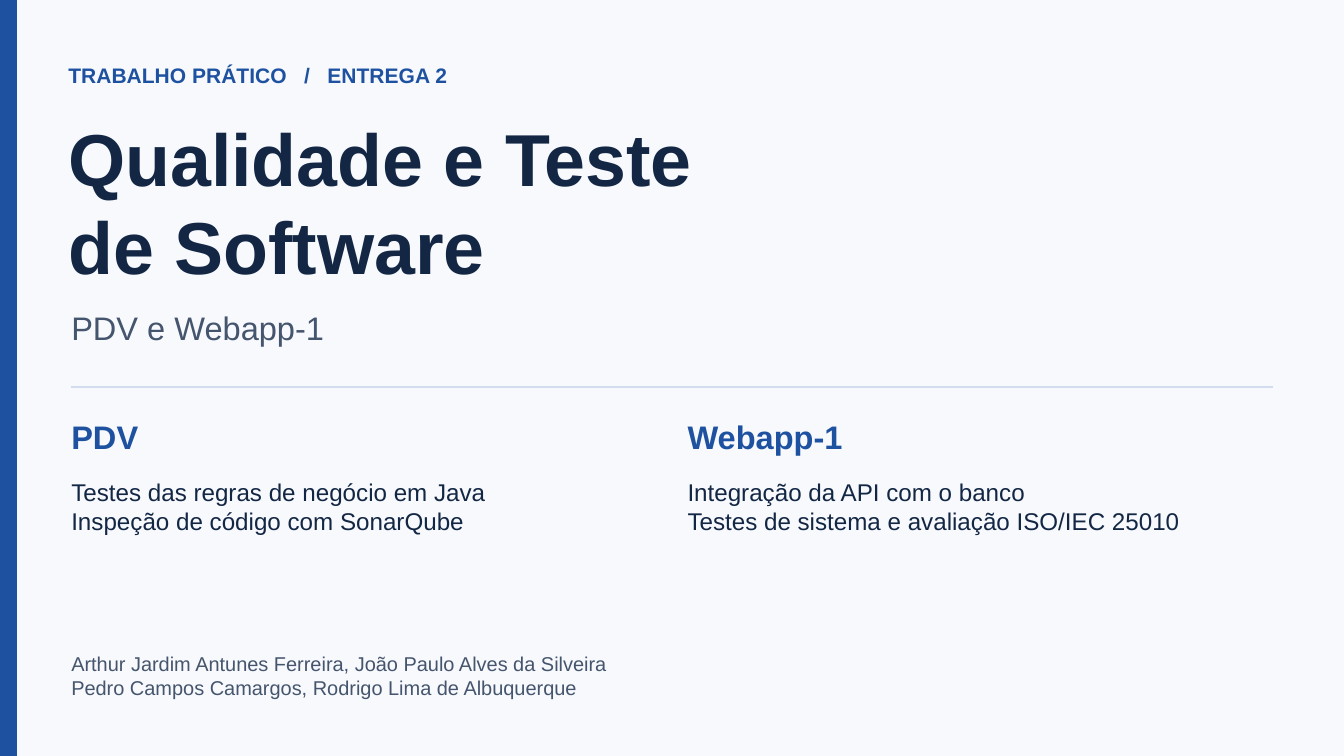
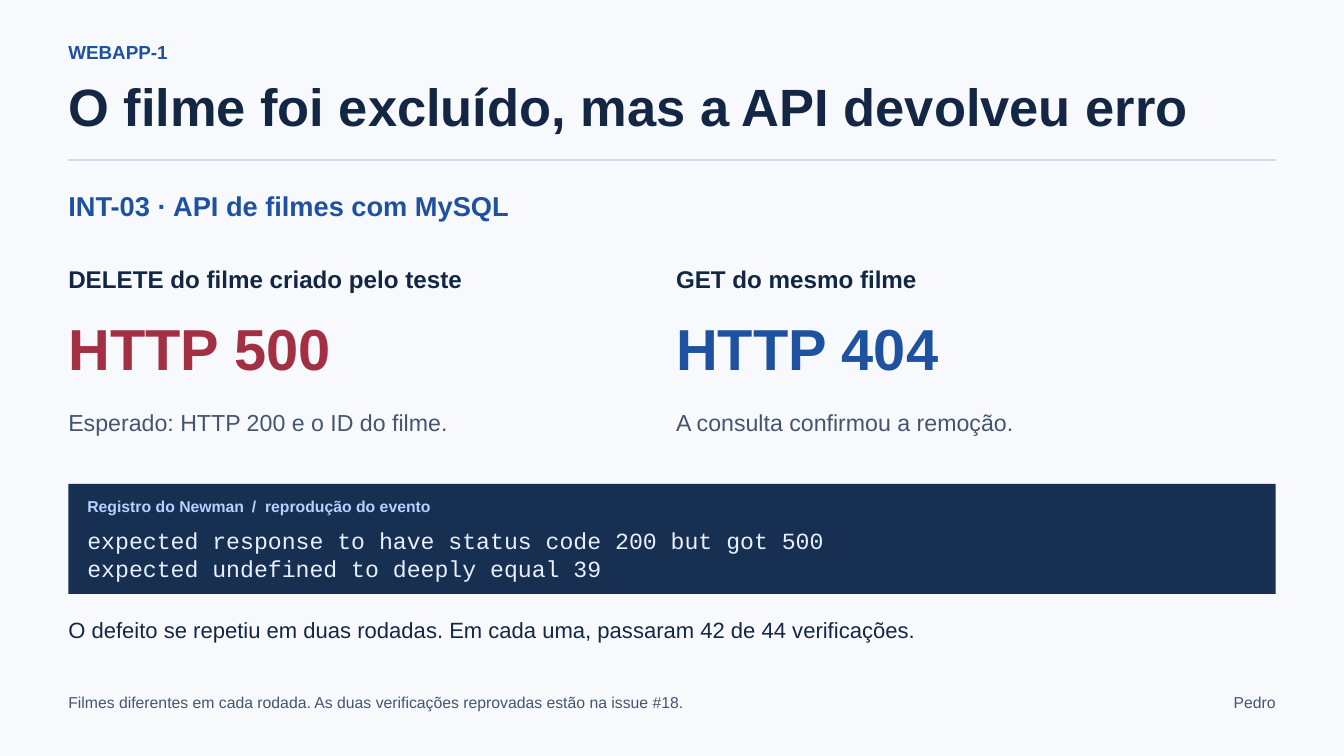
"""Builds the cover and the API defect slide of a software testing presentation."""

from lxml.etree import SubElement
from pptx import Presentation
from pptx.dml.color import RGBColor
from pptx.enum.shapes import MSO_CONNECTOR, MSO_SHAPE
from pptx.enum.text import MSO_ANCHOR, MSO_AUTO_SIZE, PP_ALIGN
from pptx.oxml.ns import qn
from pptx.util import Pt

COLORS = {
    "background": "F7F9FD",
    "blue": "1E52A0",
    "navy": "132744",
    "gray": "45556D",
    "rule": "D2DEEF",
    "red": "A32F43",
    "panel": "172F51",
    "log_label": "B6D1FF",
    "log_text": "E8F0FF",
}
SLIDE_WIDTH, SLIDE_HEIGHT = 1440, 810
MARGIN = 73.2
COVER_MARGIN = 76.4
CONTENT_WIDTH = SLIDE_WIDTH - 2 * MARGIN
COVER_WIDTH = SLIDE_WIDTH - 2 * COVER_MARGIN
COLUMN_WIDTH = 620
LINE_FACTOR = 1.2


def add_text(slide, text, left, top, width, height, size, color, bold=False,
             font="Arial", align=PP_ALIGN.LEFT, tabs=(), placeholder=None):
    shape = placeholder or slide.shapes.add_textbox(0, 0, 0, 0)
    shape.left, shape.top = Pt(left), Pt(top)
    shape.width, shape.height = Pt(width), Pt(height)
    frame = shape.text_frame
    frame.word_wrap = True
    frame.auto_size = MSO_AUTO_SIZE.NONE
    frame.vertical_anchor = MSO_ANCHOR.TOP
    frame.margin_left = frame.margin_right = frame.margin_top = frame.margin_bottom = 0
    frame.text = text
    for paragraph in frame.paragraphs:
        properties = paragraph._p.get_or_add_pPr()
        if placeholder is not None:
            properties.set("marL", "0")
            properties.set("indent", "0")
            SubElement(properties, qn("a:buNone"))
        if tabs:
            tab_list = SubElement(properties, qn("a:tabLst"))
            for position in tabs:
                SubElement(tab_list, qn("a:tab"), pos=str(Pt(position)), algn="l")
        paragraph.alignment = align
        paragraph.line_spacing = Pt(size * LINE_FACTOR)
        paragraph.space_before = paragraph.space_after = Pt(0)
        for run in paragraph.runs:
            run.font.name = font
            run.font.size = Pt(size)
            run.font.bold = bold
            run.font.color.rgb = RGBColor.from_string(COLORS[color])


def add_band(slide, left, top, width, height, color):
    band = slide.shapes.add_shape(MSO_SHAPE.RECTANGLE, Pt(left), Pt(top), Pt(width), Pt(height))
    band.shadow.inherit = False
    band.fill.solid()
    band.fill.fore_color.rgb = RGBColor.from_string(COLORS[color])
    band.line.fill.background()


presentation = Presentation()
presentation.slide_width = Pt(SLIDE_WIDTH)
presentation.slide_height = Pt(SLIDE_HEIGHT)
background = presentation.slide_master.background.fill
background.solid()
background.fore_color.rgb = RGBColor.from_string(COLORS["background"])

cover = presentation.slides.add_slide(presentation.slide_layouts.get_by_name("Comparison"))
defect = presentation.slides.add_slide(presentation.slide_layouts.get_by_name("Title Only"))

for slide, left, top in [(cover, COVER_MARGIN, 415), (defect, MARGIN, 171)]:
    rule = slide.shapes.add_connector(
        MSO_CONNECTOR.STRAIGHT, Pt(left), Pt(top), Pt(SLIDE_WIDTH - left), Pt(top))
    rule.line.width = Pt(2)
    rule.line.color.rgb = RGBColor.from_string(COLORS["rule"])
    SubElement(rule._element.spPr, qn("a:effectLst"))

add_band(cover, 0, 0, 18, SLIDE_HEIGHT, "blue")
add_text(cover, "TRABALHO PRÁTICO\t/\tENTREGA 2", MARGIN, 67, CONTENT_WIDTH, 37,
         size=22.5, color="blue", bold=True, tabs=(252.7, 277.6))
add_text(cover, "Qualidade e Teste\nde Software", MARGIN, 121, CONTENT_WIDTH, 192,
         size=78.8, color="navy", bold=True, placeholder=cover.shapes.title)
add_text(cover, "PDV e Webapp-1", COVER_MARGIN, 330.5, COVER_WIDTH, 53, size=34.9, color="gray")

projects = [
    ("PDV", "Testes das regras de negócio em Java\nInspeção de código com SonarQube"),
    ("Webapp-1", "Integração da API com o banco\nTestes de sistema e avaliação ISO/IEC 25010"),
]
for column, (project, activities) in enumerate(projects):
    left = COVER_MARGIN + column * 660.2
    add_text(cover, project, left, 446.4, COLUMN_WIDTH, 51, size=34.9, color="blue",
             bold=True, placeholder=cover.placeholders[1 + 2 * column])
    add_text(cover, activities, left, 511.2, COLUMN_WIDTH, 63, size=25.9, color="navy",
             placeholder=cover.placeholders[2 + 2 * column])

add_text(cover, "Arthur Jardim Antunes Ferreira, João Paulo Alves da Silveira\n"
         "Pedro Campos Camargos, Rodrigo Lima de Albuquerque",
         COVER_MARGIN, 697.7, COVER_WIDTH, 58, size=21.4, color="gray")

add_text(defect, "WEBAPP-1", MARGIN, 43.2, CONTENT_WIDTH, 33, size=20.2, color="blue", bold=True)
add_text(defect, "O filme foi excluído, mas a API devolveu erro", MARGIN, 79.2, CONTENT_WIDTH, 82,
         size=56.2, color="navy", bold=True, placeholder=defect.shapes.title)
add_text(defect, "INT-03 · API de filmes com MySQL", MARGIN, 202.3, CONTENT_WIDTH, 48,
         size=29.2, color="blue", bold=True)

requests = [
    ("DELETE do filme criado pelo teste", "HTTP 500", "red", "Esperado: HTTP 200 e o ID do filme."),
    ("GET do mesmo filme", "HTTP 404", "blue", "A consulta confirmou a remoção."),
]
for column, (request, status, status_color, remark) in enumerate(requests):
    left = MARGIN + column * 651.2
    add_text(defect, request, left, 283, COLUMN_WIDTH, 42, size=25.9, color="navy", bold=True)
    add_text(defect, status, left, 334.8, COLUMN_WIDTH, 91, size=61.9, color=status_color, bold=True)
    add_text(defect, remark, left, 437.8, COLUMN_WIDTH, 66, size=24.8, color="gray")

add_band(defect, MARGIN, 518.4, CONTENT_WIDTH, 118, "panel")
log_left = MARGIN + 20.4
log_width = CONTENT_WIDTH - 2 * 20.4
add_text(defect, "Registro do Newman\t/\treprodução do evento", log_left, 532, log_width, 31,
         size=16.9, color="log_label", bold=True, tabs=(176.3, 190.4))
add_text(defect, "expected response to have status code 200 but got 500\n"
         "expected undefined to deeply equal 39",
         log_left, 564.5, log_width, 67, size=24.8, color="log_text", font="Courier New")
add_text(defect, "O defeito se repetiu em duas rodadas. Em cada uma, passaram 42 de 44 verificações.",
         MARGIN, 661, CONTENT_WIDTH, 45, size=23.6, color="navy")
add_text(defect, "Filmes diferentes em cada rodada. As duas verificações reprovadas estão na issue #18.",
         MARGIN, 742.3, 1098, 35, size=16.9, color="gray")
add_text(defect, "Pedro", SLIDE_WIDTH - MARGIN - 181, 742.3, 181, 35, size=16.9, color="gray",
         align=PP_ALIGN.RIGHT)

presentation.save("out.pptx")
